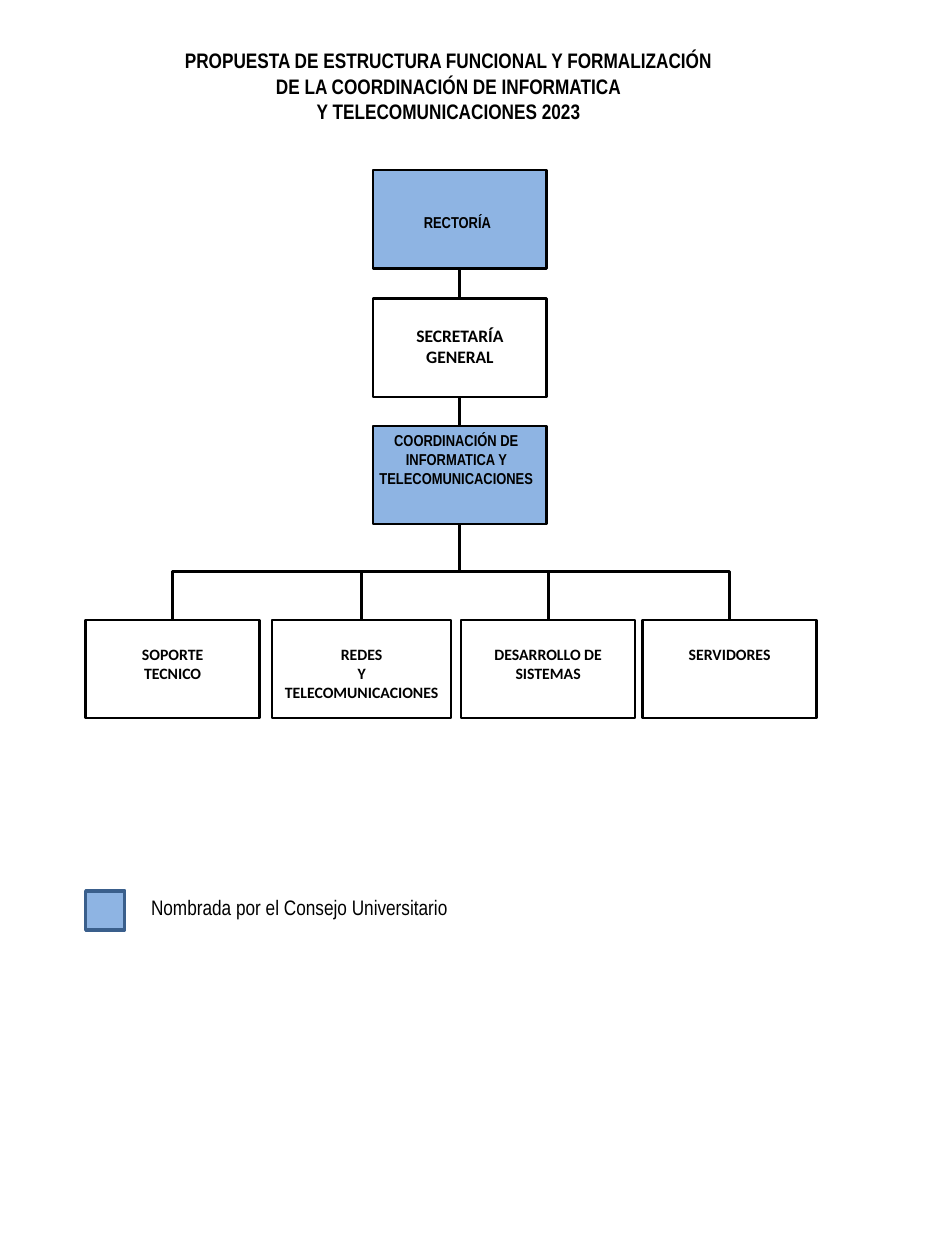
import pptx
import pptx.dml.color
import pptx.enum.shapes
import pptx.enum.text
import pptx.oxml.ns
import pptx.util
from lxml import etree

qn = pptx.oxml.ns.qn
SHAPE = pptx.enum.shapes.MSO_SHAPE
CONNECTOR = pptx.enum.shapes.MSO_CONNECTOR
ALIGN = pptx.enum.text.PP_ALIGN
COLUMNS, ROWS = 75, 100  # square grid cells, a tenth of an inch each


def rgb(value):
    return pptx.dml.color.RGBColor.from_string(value)


class Chart:
    """Style and current slide of the organisation chart; lengths are grid cells."""

    INK, BLUE, STEEL = "000000", "8EB4E3", "3A5F8C"
    NARROW, PLAIN = "Arial Narrow", "Calibri"

    def __init__(self, prs):
        self.cell_w = prs.slide_width / COLUMNS
        self.cell_h = prs.slide_height / ROWS
        self.s = prs.slides.add_slide(prs.slide_layouts[5])

    def xy(self, *cells):
        """Turn alternating columns and rows into slide units."""
        return [round(c * (self.cell_h if i % 2 else self.cell_w)) for i, c in enumerate(cells)]

    def add_lines(self, sp, lines, size, font, bold=True, align=ALIGN.CENTER, insets=None):
        tf = sp.text_frame
        tf.word_wrap = True
        tf.vertical_anchor = pptx.enum.text.MSO_ANCHOR.TOP
        if insets:
            left, top, right, bottom = map(pptx.util.Inches, insets)
            tf.margin_left, tf.margin_top = left, top
            tf.margin_right, tf.margin_bottom = right, bottom
        for i, line in enumerate(lines):
            p = tf.paragraphs[0] if i == 0 else tf.add_paragraph()
            p.alignment = align
            r = p.add_run()
            r.text = line
            r.font.name, r.font.size, r.font.bold = font, pptx.util.Pt(size), bold
            r.font.color.rgb = rgb(self.INK)

    def title(self, at, lines):
        sp = self.s.shapes.title
        sp.left, sp.top, sp.width, sp.height = self.xy(*at)
        self.add_lines(sp, lines, 12, self.NARROW)
        sp.text_frame.auto_size = pptx.enum.text.MSO_AUTO_SIZE.SHAPE_TO_FIT_TEXT

    def label(self, at, text):
        sp = self.s.shapes.add_textbox(*self.xy(*at))
        self.add_lines(sp, [text], 12, self.NARROW, bold=False, align=ALIGN.LEFT)

    def box(self, at, fill=None, line=INK, weight=1.5, preset=SHAPE.RECTANGLE):
        sp = self.s.shapes.add_shape(preset, *self.xy(*at))
        sp.shadow.inherit = False
        if fill:
            sp.fill.solid()
            sp.fill.fore_color.rgb = rgb(fill)
        else:
            sp.fill.background()
        sp.line.color.rgb = rgb(line)
        sp.line.width = pptx.util.Pt(weight)
        return sp

    def connector(self, kind, *ends):
        c = self.s.shapes.add_connector(kind, *self.xy(*ends))
        c.line.color.rgb = rgb(self.INK)
        c.line.width = pptx.util.Pt(1.75)
        etree.SubElement(c._element.spPr, qn("a:effectLst"))
        return c

    def branch(self, x1, y1, x2, y2):
        """Elbow that leaves downwards: a turned frame around the same centre."""
        mid_x, mid_y = (x1 + x2) / 2, (y1 + y2) / 2
        half_w, half_h = (y2 - y1) / 2, abs(x2 - x1) / 2
        side = 1 if x2 < x1 else -1  # a right-hand branch is mirrored
        c = self.connector(CONNECTOR.ELBOW, mid_x - side * half_w, mid_y - half_h,
                           mid_x + side * half_w, mid_y + half_h)
        degrees = 90 if side == 1 else 270
        c._element.spPr.find(qn("a:xfrm")).set("rot", str(degrees * 60000))


def main():
    prs = pptx.Presentation()
    prs.slide_width, prs.slide_height = pptx.util.Inches(7.5), pptx.util.Inches(10)
    chart = Chart(prs)
    box_w, box_h, axis, unit_top = 13.8, 7.8, 36.5, 49.2

    chart.title((10.5, 3.3, 50.2, 7.1), [
        "PROPUESTA DE ESTRUCTURA FUNCIONAL Y FORMALIZACIÓN",
        "DE LA COORDINACIÓN DE INFORMATICA",
        "Y TELECOMUNICACIONES 2023"])

    chain = [
        (13.5, "RECTORÍA", 9, chart.NARROW, chart.BLUE,
         SHAPE.FLOWCHART_PROCESS, (0.04, 0.34, 0.08, 0.04)),
        (23.7, "SECRETARÍA GENERAL", 10, chart.PLAIN, None,
         SHAPE.RECTANGLE, (0.1, 0.21, 0.1, 0.05)),
        (33.8, "COORDINACIÓN DE INFORMATICA Y TELECOMUNICACIONES", 9, chart.NARROW, chart.BLUE,
         SHAPE.RECTANGLE, (0.04, 0.04, 0.1, 0.05)),
    ]
    for top, text, size, font, fill, preset, insets in chain:
        sp = chart.box((axis - box_w / 2, top, box_w, box_h), fill, preset=preset)
        chart.add_lines(sp, [text], size, font, insets=insets)
    for upper, lower in zip(chain, chain[1:]):
        chart.connector(CONNECTOR.STRAIGHT, axis, upper[0] + box_h, axis, lower[0])

    units = [
        (6.8, box_w, ["SOPORTE", "TECNICO"]),
        (21.6, 14.2, ["REDES", "Y TELECOMUNICACIONES"]),
        (36.6, box_w, ["DESARROLLO DE SISTEMAS"]),
        (51, box_w, ["SERVIDORES"]),
    ]
    for left, width, lines in units:
        sp = chart.box((left, unit_top, width, box_h))
        chart.add_lines(sp, lines, 9, chart.PLAIN, insets=(0.1, 0.2, 0.1, 0.05))
        chart.branch(axis, chain[-1][0] + box_h, left + width / 2, unit_top)

    chart.box((6.8, 70.7, 3.1, 3.1), chart.BLUE, chart.STEEL, 2)
    chart.label((11, 70.5, 40.2, 3), "Nombrada por el Consejo Universitario")
    prs.save("out.pptx")


if __name__ == "__main__":
    main()
